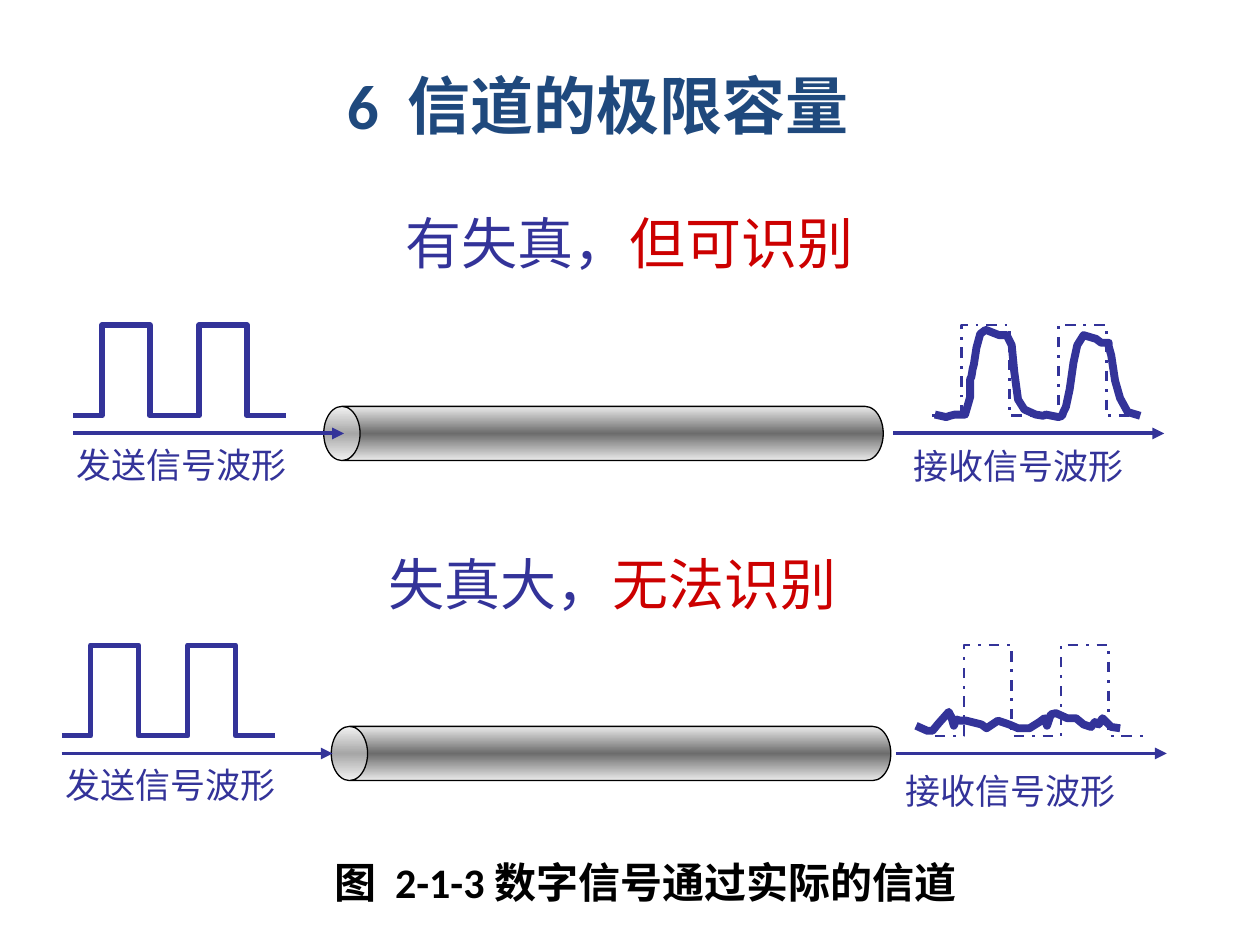
from copy import deepcopy
from dataclasses import dataclass

from pptx import Presentation
from pptx.dml.color import RGBColor
from pptx.enum.dml import MSO_LINE
from pptx.enum.shapes import MSO_CONNECTOR, MSO_SHAPE
from pptx.enum.text import MSO_ANCHOR, PP_ALIGN
from pptx.oxml.ns import qn
from pptx.util import Inches, Pt
from lxml import etree

STRAIGHT = MSO_CONNECTOR.STRAIGHT
CAN = MSO_SHAPE.CAN
DASH_DOT = MSO_LINE.DASH_DOT
TOP, MIDDLE = MSO_ANCHOR.TOP, MSO_ANCHOR.MIDDLE
LEFT, CENTER = PP_ALIGN.LEFT, PP_ALIGN.CENTER


@dataclass(frozen=True)
class Theme:
    """Colours, fonts, type sizes and line widths of the slide."""
    signal = RGBColor(0x33, 0x33, 0x99)
    verdict = RGBColor(0xCC, 0x00, 0x00)
    heading = RGBColor(0x1F, 0x49, 0x7D)
    black = RGBColor(0, 0, 0)
    pipe = ("EAEAEA", "6C6C6C", "EAEAEA")
    latin = "Calibri"
    label_font = "Noto Sans CJK SC"
    title_size = Pt(36)
    statement_size = Pt(32)
    caption_size = Pt(24)
    label_size = Pt(20)
    pulse_width = Pt(3)
    ideal_width = Pt(1.5)
    trace_width = Pt(4.5)
    axis_width = Pt(2.25)
    pipe_line = Pt(0.75)


THEME = Theme()
AXIS_DROP = 0.86
AXIS_LENGTH = 2.15
PULSE_HEIGHT = 0.72
PULSE_EDGES = (0.23, 0.61, 1.0, 1.38)
PULSE_END = 1.69
PIPE_LENGTH, PIPE_THICKNESS = 4.44, 0.43

CLEAR_TRACE = (
    (0.33, 0.71), (0.42, 0.73), (0.45, 0.72), (0.49, 0.71), (0.57, 0.71),
    (0.61, 0.57), (0.61, 0.43), (0.62, 0.41), (0.63, 0.35), (0.64, 0.31),
    (0.66, 0.18), (0.69, 0.07), (0.73, 0.04), (0.74, 0.04), (0.84, 0.08),
    (0.9, 0.08), (0.94, 0.16), (0.96, 0.37), (0.99, 0.59), (1.04, 0.67),
    (1.13, 0.71), (1.19, 0.72), (1.21, 0.71), (1.31, 0.73), (1.34, 0.72),
    (1.35, 0.69), (1.37, 0.65), (1.4, 0.51), (1.43, 0.3), (1.46, 0.16),
    (1.51, 0.08), (1.61, 0.11), (1.65, 0.14), (1.71, 0.14), (1.71, 0.17),
    (1.73, 0.24), (1.76, 0.44), (1.8, 0.58), (1.86, 0.69), (1.96, 0.72),
)
LOST_TRACE = (
    (0.16, 0.64), (0.25, 0.68), (0.29, 0.68), (0.34, 0.62), (0.42, 0.53),
    (0.44, 0.57), (0.46, 0.64), (0.48, 0.59), (0.51, 0.6), (0.56, 0.6),
    (0.68, 0.63), (0.72, 0.66), (0.81, 0.6), (0.9, 0.63), (0.97, 0.66),
    (1.06, 0.66), (1.14, 0.61), (1.18, 0.58), (1.2, 0.64), (1.23, 0.55),
    (1.27, 0.54), (1.36, 0.58), (1.43, 0.58), (1.49, 0.63), (1.55, 0.65),
    (1.58, 0.61), (1.61, 0.63), (1.64, 0.58), (1.71, 0.65), (1.78, 0.66),
)


def add_text(shapes, box, runs, size, font=THEME.latin, bold=False,
             align=CENTER, anchor=TOP, spacing=1.0, wrap=True):
    """Place one paragraph of coloured runs in a box."""
    frame = shapes.add_textbox(*map(Inches, box)).text_frame
    frame.word_wrap = wrap
    frame.vertical_anchor = anchor
    paragraph = frame.paragraphs[0]
    paragraph.alignment = align
    paragraph.line_spacing = spacing
    for text, color in runs:
        run = paragraph.add_run()
        run.text = text
        run.font.color.rgb = color
        for name, value in {"size": size, "name": font, "bold": bold}.items():
            setattr(run.font, name, value)


def add_trace(shapes, left, top, points, width, dash=None):
    """Draw an open signal line through points relative to its corner."""
    places = [(Inches(left + x), Inches(top + y)) for x, y in points]
    builder = shapes.build_freeform(*places[0])
    builder.add_line_segments(places[1:], close=False)
    shape = builder.convert_to_shape()
    shape.shadow.inherit = False
    shape.fill.background()
    shape.line.color.rgb = THEME.signal
    for name, value in {"width": width, "dash_style": dash}.items():
        setattr(shape.line, name, value)


def pulse_points():
    """Return the outline of two square pulses."""
    points, level = [(0, PULSE_HEIGHT)], PULSE_HEIGHT
    for edge in PULSE_EDGES:
        points.append((edge, level))
        level = PULSE_HEIGHT - level
        points.append((edge, level))
    return points + [(PULSE_END, PULSE_HEIGHT)]


def add_axis(shapes, left, top):
    """Draw the arrow that runs below a waveform."""
    y = Inches(top + AXIS_DROP)
    connector = shapes.add_connector(
        STRAIGHT, Inches(left), y, Inches(left + AXIS_LENGTH), y)
    connector.line.color.rgb = THEME.signal
    connector.line.width = THEME.axis_width
    properties = connector._element.spPr
    etree.SubElement(properties.find(qn("a:ln")), qn("a:tailEnd"), type="triangle")
    etree.SubElement(properties, qn("a:effectLst"))


def add_label(shapes, box, text, wrap):
    """Name a waveform."""
    add_text(shapes, box, [(text, THEME.signal)], THEME.label_size,
             THEME.label_font, align=LEFT, wrap=wrap)


def draw_sender(slide, left, top):
    """Draw the sent pulses with their arrow and label."""
    shapes = slide.shapes.add_group_shape().shapes
    add_trace(shapes, left, top, pulse_points(), THEME.pulse_width)
    add_axis(shapes, left, top)
    label_box = (left - 0.07, top + AXIS_DROP + 0.03, 1.87, 0.43)
    add_label(shapes, label_box, "发送信号波形", False)


def draw_receiver(slide, left, top, trace, label_box):
    """Draw the received trace over the dashed ideal pulses."""
    shapes = slide.shapes.add_group_shape().shapes
    add_trace(shapes, left + 0.31, top, pulse_points(), THEME.ideal_width, DASH_DOT)
    add_axis(shapes, left, top)
    add_trace(shapes, left, top, trace, THEME.trace_width)
    add_label(shapes, label_box, "接收信号波形", True)


def draw_pipe(slide, center, top):
    """Draw the channel as a shaded cylinder lying on its side."""
    middle = top + AXIS_DROP
    shape = slide.shapes.add_shape(
        CAN, Inches(center - PIPE_THICKNESS / 2), Inches(middle - PIPE_LENGTH / 2),
        Inches(PIPE_THICKNESS), Inches(PIPE_LENGTH))
    shape.rotation = 270
    shape.adjustments[0] = 0.67
    shape.shadow.inherit = False
    shape.line.color.rgb = THEME.black
    shape.line.width = THEME.pipe_line
    shape.fill.gradient()
    shape.fill.gradient_angle = 0
    stop_list = shape._element.spPr.find(qn("a:gradFill")).find(qn("a:gsLst"))
    stop_list.append(deepcopy(stop_list[0]))
    for index, (stop, color) in enumerate(zip(shape.fill.gradient_stops, THEME.pipe)):
        stop.position = index / 2
        stop.color.rgb = RGBColor.from_string(color)


def main():
    """Build the slide and save it."""
    presentation = Presentation()
    presentation.slide_width, presentation.slide_height = Inches(10), Inches(7.5)
    slide = presentation.slides.add_slide(presentation.slide_layouts[6])
    shapes = slide.shapes
    add_text(shapes, (0.51, 0.36, 8.58, 0.94), [("6  信道的极限容量 ", THEME.heading)],
             THEME.title_size, bold=True, anchor=MIDDLE)
    add_text(shapes, (0.75, 1.55, 8.5, 0.79),
             [("有失真，", THEME.signal), ("但可识别", THEME.verdict)],
             THEME.statement_size, spacing=1.1)
    add_text(shapes, (0.96, 4.31, 7.9, 0.63),
             [("失真大，", THEME.signal), ("无法识别 ", THEME.verdict)],
             THEME.statement_size)
    rows = (
        (2.58, 0.58, 4.79, 7.09, CLEAR_TRACE, (7.15, 3.48, 2.1, 0.43)),
        (5.12, 0.49, 4.85, 7.11, LOST_TRACE, (7.09, 6.06, 2.03, 0.43)),
    )
    for top, sender, pipe, receiver, trace, label_box in rows:
        draw_pipe(slide, pipe, top)
        draw_sender(slide, sender, top)
        draw_receiver(slide, receiver, top, trace, label_box)
    add_text(shapes, (0.67, 6.66, 8.9, 0.67),
             [("图  2-1-3 数字信号通过实际的信道", THEME.black)],
             THEME.caption_size, bold=True, anchor=MIDDLE)
    presentation.save("out.pptx")


if __name__ == "__main__":
    main()
